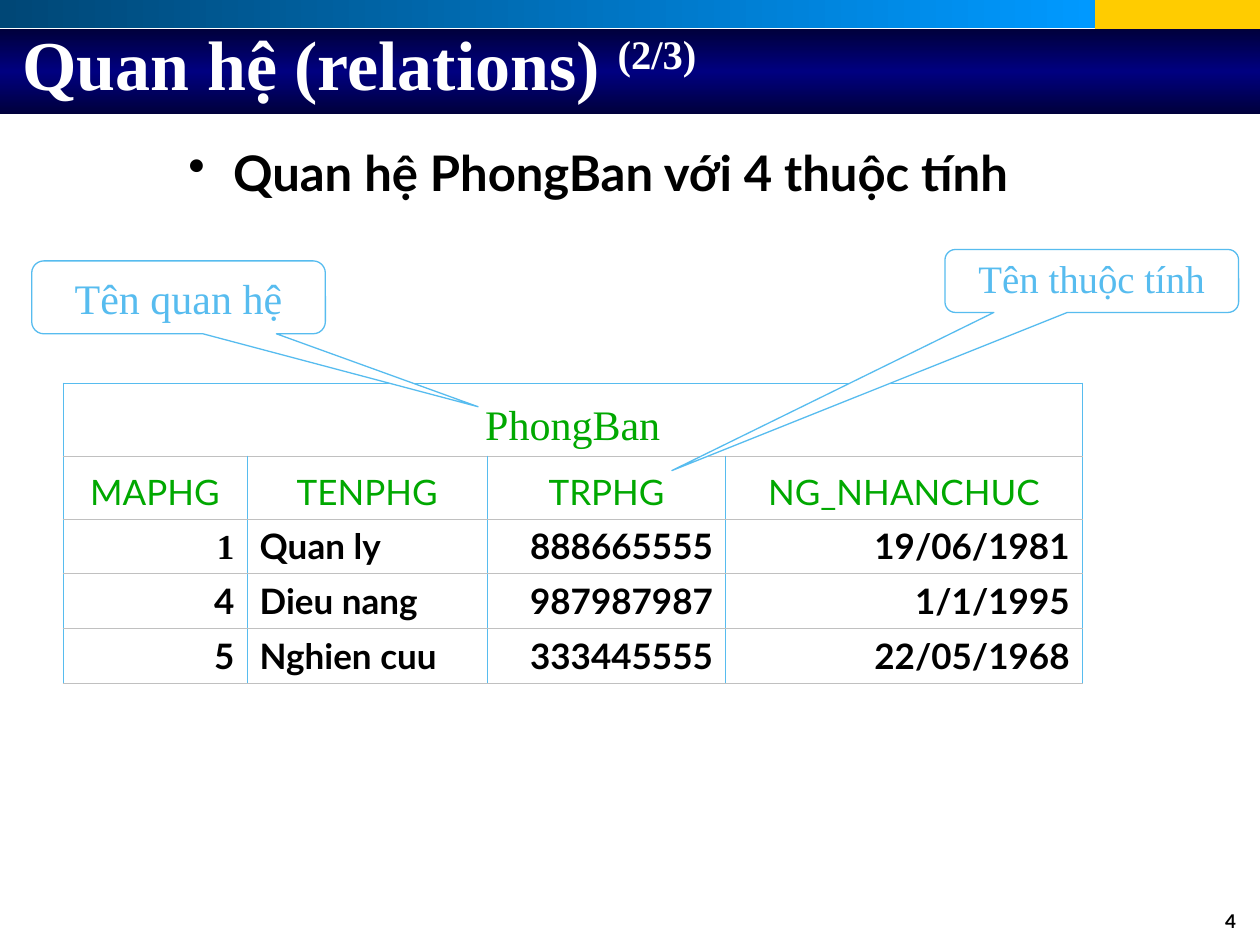
from dataclasses import dataclass

from lxml import etree
from pptx import Presentation
from pptx.dml.color import RGBColor
from pptx.enum.shapes import MSO_SHAPE
from pptx.enum.text import MSO_ANCHOR, MSO_AUTO_SIZE, PP_ALIGN
from pptx.oxml.ns import qn
from pptx.util import Cm, Pt

RECT = MSO_SHAPE.RECTANGLE
CALLOUT = MSO_SHAPE.ROUNDED_RECTANGULAR_CALLOUT
LEFT, CENTER, RIGHT = PP_ALIGN.LEFT, PP_ALIGN.CENTER, PP_ALIGN.RIGHT
TOP, MIDDLE, BOTTOM = MSO_ANCHOR.TOP, MSO_ANCHOR.MIDDLE, MSO_ANCHOR.BOTTOM


@dataclass(frozen=True)
class Theme:
    """Colours, fonts and type sizes of the slide."""
    serif: str = "Times New Roman"
    sans: str = "Lato"
    white: str = "FFFFFF"
    black: str = "000000"
    green: str = "00A800"
    sky: str = "57BCEF"
    grey: str = "C0C0C0"
    yellow: str = "FFCC00"
    blues: tuple = ("004776", "0099FF")
    navies: tuple = ("00003B", "000080", "00003B")
    title: float = 40
    body: float = 28
    label: float = 24
    small_label: float = 22.2
    cell: float = 20
    number: float = 10.8


T = Theme()
COLUMNS = (3.71, 4.85, 4.8, 7.19)
ROWS = (1.47, 1.27, 1.09, 1.09, 1.09)
RELATION = "PhongBan"
ATTRIBUTES = ("MAPHG", "TENPHG", "TRPHG", "NG_NHANCHUC")
RECORDS = (
    ("1", "Quan ly", "888665555", "19/06/1981"),
    ("4", "Dieu nang", "987987987", "1/1/1995"),
    ("5", "Nghien cuu", "333445555", "22/05/1968"),
)
RECORD_ALIGNS = (RIGHT, LEFT, RIGHT, RIGHT)


def rgb(color):
    """Turn a hex string into a colour."""
    return RGBColor.from_string(color)


def add_run(p, text, size, font=T.sans, color=T.black, bold=False, raised=0):
    """Add a formatted run, raised by a percentage."""
    r = p.add_run()
    r.text = text
    r.font.size, r.font.name, r.font.bold = Pt(size), font, bold
    r.font.color.rgb = rgb(color)
    if raised:
        r._r.get_or_add_rPr().set("baseline", str(raised * 1000))


def write(tf, text, size, align=LEFT, anchor=TOP, spacing=None, **style):
    """Write the first paragraph of a text frame and return it."""
    tf.word_wrap = True
    tf.vertical_anchor = anchor
    p = tf.paragraphs[0]
    p.alignment = align
    if spacing:
        p.line_spacing = spacing
    add_run(p, text, size, **style)
    return p


def add_bar(s, box, colors, angle=0):
    """Add a borderless bar with a plain or evenly stepped gradient fill."""
    sp = s.shapes.add_shape(RECT, *map(Cm, box))
    sp.shadow.inherit = False
    sp.line.fill.background()
    if len(colors) == 1:
        sp.fill.solid()
        sp.fill.fore_color.rgb = rgb(colors[0])
        return
    sp.fill.gradient()
    sp.fill.gradient_angle = angle
    stops = sp._element.spPr.find(qn("a:gradFill")).find(qn("a:gsLst"))
    for stop in list(stops):
        stops.remove(stop)
    for i, color in enumerate(colors):
        position = str(100000 * i // (len(colors) - 1))
        stop = etree.SubElement(stops, qn("a:gs"), pos=position)
        etree.SubElement(stop, qn("a:srgbClr"), val=color)


def set_title(s, text, part):
    """Place the title over the bars, with a raised part counter."""
    sp = s.shapes.title
    s.shapes._spTree.append(sp._element)
    sp.left, sp.top, sp.width, sp.height = map(Cm, (0.2, 0.2, 21.59, 2.11))
    style = {"size": T.title, "font": T.serif, "color": T.white, "bold": True}
    p = write(sp.text_frame, text, anchor=MIDDLE, **style)
    add_run(p, part, raised=30, **style)
    sp.text_frame.auto_size = MSO_AUTO_SIZE.NONE


def add_text(s, box, text, size, **style):
    """Add a text box and return its paragraph."""
    sp = s.shapes.add_textbox(*map(Cm, box))
    return write(sp.text_frame, text, size, **style)


def add_bullet(p, margin, indent):
    """Give a paragraph a hanging round bullet."""
    pPr = p._p.get_or_add_pPr()
    pPr.set("marL", str(Cm(margin)))
    pPr.set("indent", str(-Cm(indent)))
    color = etree.SubElement(pPr, qn("a:buClr"))
    etree.SubElement(color, qn("a:srgbClr"), val=T.black)
    etree.SubElement(pPr, qn("a:buChar"), char="•")


def set_borders(cell, **colors):
    """Draw thin borders on the sides named L, R, T and B."""
    tcPr = cell._tc.get_or_add_tcPr()
    for i, (side, color) in enumerate(colors.items()):
        ln = etree.Element(qn(f"a:ln{side}"), w=str(Pt(0.45)))
        fill = etree.SubElement(ln, qn("a:solidFill"))
        etree.SubElement(fill, qn("a:srgbClr"), val=color)
        tcPr.insert(i, ln)


def add_relation(s):
    """Add the relation table with its name, attributes and records."""
    size = sum(COLUMNS), sum(ROWS)
    frame = s.shapes.add_table(len(ROWS), len(COLUMNS), *map(Cm, (1.27, 7.72, *size)))
    table = frame.table
    table.first_row = table.horz_banding = False
    for column, width in zip(table.columns, COLUMNS):
        column.width = Cm(width)
    for row, height in zip(table.rows, ROWS):
        row.height = Cm(height)
    for i, row in enumerate(table.rows):
        for cell in row.cells:
            cell.fill.background()
            cell.vertical_anchor = BOTTOM
            set_borders(cell, L=T.sky, R=T.sky, T=T.grey if i else T.sky, B=T.grey)
    table.cell(0, 0).merge(table.cell(0, len(COLUMNS) - 1))
    fill_cell(table.cell(0, 0), RELATION, T.label, CENTER, font=T.serif, color=T.green)
    for j, name in enumerate(ATTRIBUTES):
        fill_cell(table.cell(1, j), name, T.cell, CENTER, color=T.green)
    for i, record in enumerate(RECORDS):
        for j, (value, align) in enumerate(zip(record, RECORD_ALIGNS)):
            font = T.serif if i == j == 0 else T.sans
            fill_cell(table.cell(i + 2, j), value, T.cell, align, font=font, bold=True)


def fill_cell(cell, text, size, align, **style):
    """Write one aligned table cell."""
    p = cell.text_frame.paragraphs[0]
    p.alignment = align
    add_run(p, text, size, **style)


def add_callout(s, box, tip, text, size, spacing=None):
    """Add a rounded callout whose tip is given relative to its size."""
    sp = s.shapes.add_shape(CALLOUT, *map(Cm, box))
    sp.shadow.inherit = False
    for i, value in enumerate((*tip, 0.167)):
        sp.adjustments[i] = value
    sp.fill.solid()
    sp.fill.fore_color.rgb = rgb(T.white)
    sp.line.color.rgb = rgb(T.sky)
    sp.line.width = Pt(0.75)
    write(sp.text_frame, text, size, CENTER, MIDDLE, spacing, font=T.serif, color=T.sky)


def main():
    """Build and save the slide."""
    prs = Presentation()
    prs.slide_width, prs.slide_height = Cm(25.4), Cm(19.05)
    s = prs.slides.add_slide(prs.slide_layouts[5])
    add_bar(s, (22.07, 0, 3.33, 0.71), (T.yellow,))
    add_bar(s, (0, 0, 22.07, 0.56), T.blues)
    add_bar(s, (0, 0.58, 25.4, 1.73), T.navies, 90)
    add_text(s, (19.25, 18.21, 5.92, 0.81), "4", T.number, align=RIGHT, bold=True)
    set_title(s, "Quan hệ (relations) ", "(2/3)")
    p = add_text(s, (3.28, 2.74, 21.18, 11.43),
                 "Quan hệ PhongBan với 4 thuộc tính", T.body, bold=True)
    add_bullet(p, 1.17, 0.9)
    add_relation(s)
    add_callout(s, (0.64, 5.26, 5.92, 1.47), (1.02, 1.5), "Tên quan hệ", T.label)
    add_callout(s, (19.05, 5.03, 5.92, 1.27), (-1.43, 3.01), "Tên thuộc tính",
                T.small_label, 0.9)
    prs.save("out.pptx")


if __name__ == "__main__":
    main()
